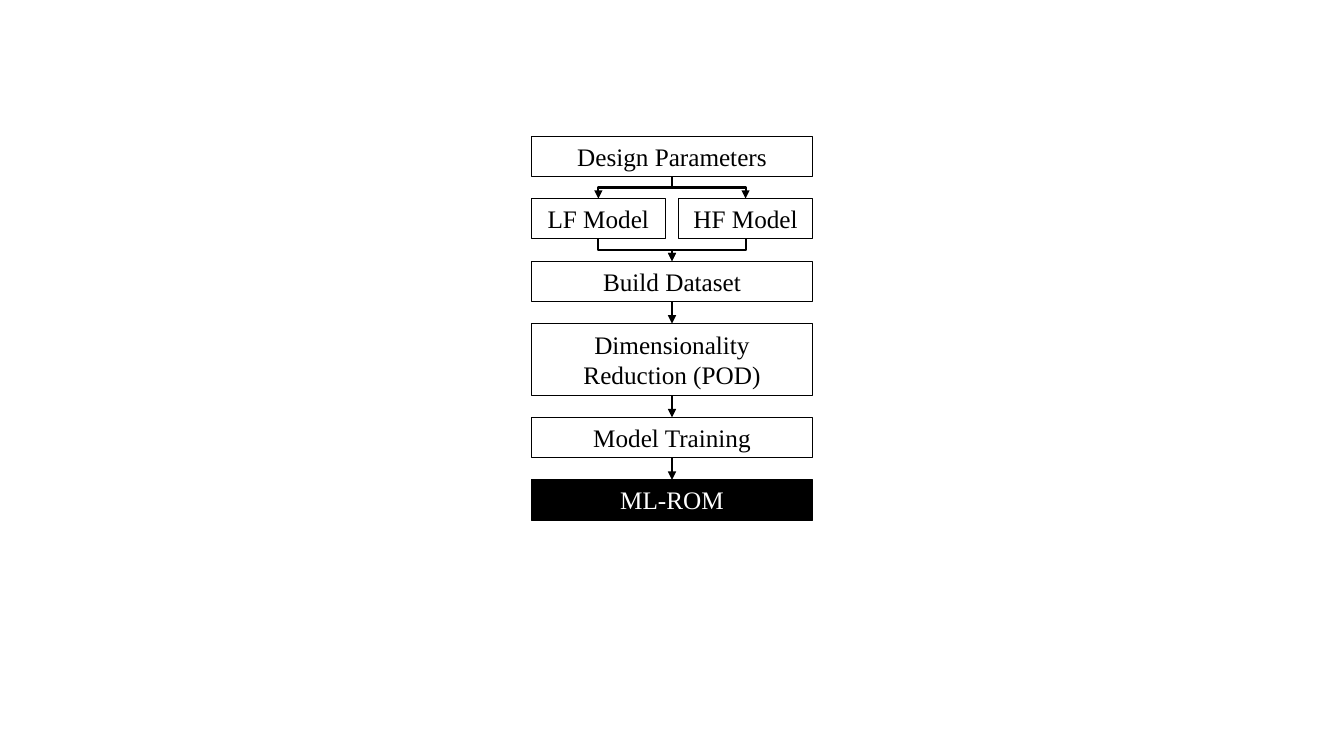
"""Build a flowchart slide from design parameters to a reduced-order model."""
import pptx
import pptx.dml.color
import pptx.enum.shapes
import pptx.enum.text
import pptx.oxml
import pptx.oxml.ns
import pptx.util

SCALE = 9144
COLORS = {"ink": "000000", "paper": "FFFFFF"}
LEFT, TOP, GAP = 527, 135, 22
FULL, HALF = 279, 133
RIGHT = LEFT + FULL - HALF

ROWS = [
    (40, [("Design Parameters", LEFT, FULL)]),
    (40, [("LF Model", LEFT, HALF), ("HF Model", RIGHT, HALF)]),
    (40, [("Build Dataset", LEFT, FULL)]),
    (71, [("Dimensionality Reduction (POD)", LEFT, FULL)]),
    (40, [("Model Training", LEFT, FULL)]),
    (40, [("ML-ROM", LEFT, FULL)]),
]
RESULT = "ML-ROM"
FRAME_FORMAT = {
    "word_wrap": True,
    "auto_size": pptx.enum.text.MSO_AUTO_SIZE.SHAPE_TO_FIT_TEXT,
    "vertical_anchor": pptx.enum.text.MSO_ANCHOR.MIDDLE,
}
FONT_FORMAT = {"name": "Times New Roman", "size": pptx.util.Pt(18)}
BOTTOM_SITE, TOP_SITE = 2, 0


def rgb(name):
    return pptx.dml.color.RGBColor.from_string(COLORS[name])


def add_arrow(page, source, target):
    kinds = pptx.enum.shapes.MSO_CONNECTOR
    kind = kinds.STRAIGHT if abs(source.width - target.width) < SCALE else kinds.ELBOW
    arrow = page.shapes.add_connector(kind, 0, 0, 0, 0)
    arrow.begin_connect(source, BOTTOM_SITE)
    arrow.end_connect(target, TOP_SITE)
    if kind == kinds.ELBOW:
        across = arrow.end_x - arrow.begin_x
        drop = arrow.end_y - arrow.begin_y
        middle_x = (arrow.begin_x + arrow.end_x) // 2
        middle_y = (arrow.begin_y + arrow.end_y) // 2
        turned = {
            "left": middle_x - drop // 2,
            "top": middle_y - abs(across) // 2,
            "width": drop,
            "height": abs(across),
        }
        for name, value in turned.items():
            setattr(arrow, name, value)
        transform = arrow._element.spPr.xfrm
        transform.set("rot", "16200000" if across > 0 else "5400000")
        transform.set("flipH", "1" if across > 0 else "0")
    arrow.line.width = pptx.util.Pt(1.5)
    arrow.line.color.rgb = rgb("ink")
    line = arrow.line._get_or_add_ln()
    line.append(pptx.oxml.parse_xml(
        f'<a:tailEnd {pptx.oxml.ns.nsdecls("a")} type="triangle"/>'))
    arrow._element.spPr.append(pptx.oxml.parse_xml(
        f'<a:effectLst {pptx.oxml.ns.nsdecls("a")}/>'))


deck = pptx.Presentation()
deck.slide_width = 1333 * SCALE
deck.slide_height = 750 * SCALE
page = deck.slides.add_slide(deck.slide_layouts[6])

levels = []
top = TOP
for height, steps in ROWS:
    level = []
    for label, left, width in steps:
        box = page.shapes.add_shape(
            pptx.enum.shapes.MSO_SHAPE.RECTANGLE,
            left * SCALE, top * SCALE, width * SCALE, height * SCALE)
        box.shadow.inherit = False
        box.line.color.rgb = rgb("ink")
        box.line.width = pptx.util.Pt(0.75)
        if label == RESULT:
            box.fill.solid()
            box.fill.fore_color.rgb = rgb("ink")
        else:
            box.fill.background()
        for name, value in FRAME_FORMAT.items():
            setattr(box.text_frame, name, value)
        para = box.text_frame.paragraphs[0]
        para.alignment = pptx.enum.text.PP_ALIGN.CENTER
        span = para.add_run()
        span.text = label
        for name, value in FONT_FORMAT.items():
            setattr(span.font, name, value)
        span.font.color.rgb = rgb("paper" if label == RESULT else "ink")
        level.append(box)
    levels.append(level)
    top += height + GAP

for sources, targets in zip(levels, levels[1:]):
    for source in sources:
        for target in targets:
            add_arrow(page, source, target)

deck.save("out.pptx")
